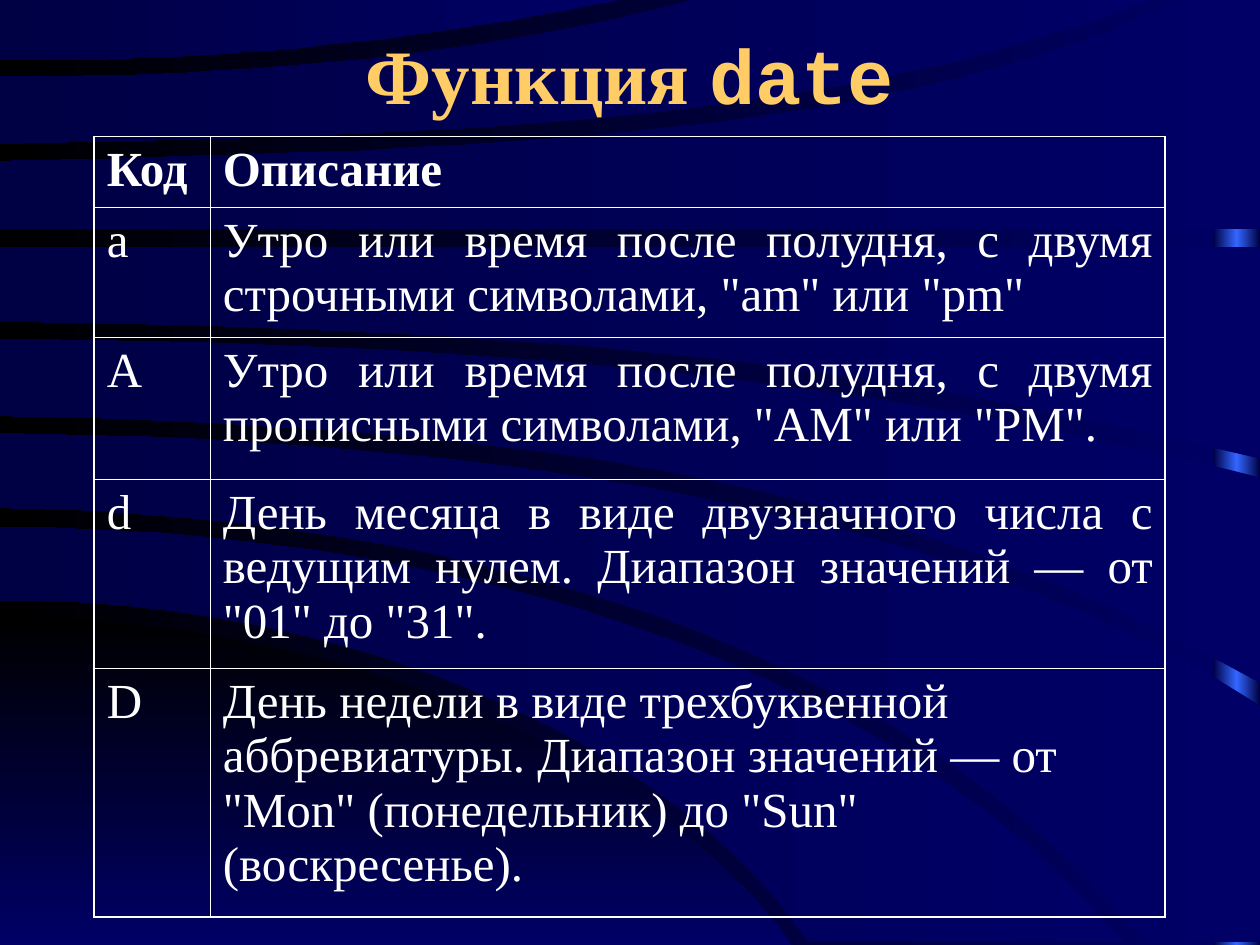
from copy import deepcopy
from math import prod

from pptx import Presentation
from pptx.dml.color import RGBColor
from pptx.enum.shapes import MSO_SHAPE
from pptx.enum.text import MSO_ANCHOR, MSO_AUTO_SIZE, PP_ALIGN
from pptx.oxml import parse_xml
from pptx.oxml.ns import nsdecls, qn
from pptx.util import Cm, Pt

RECTANGLE = MSO_SHAPE.RECTANGLE
MIDDLE, TOP = MSO_ANCHOR.MIDDLE, MSO_ANCHOR.TOP
NO_AUTOFIT = MSO_AUTO_SIZE.NONE
CENTER, JUSTIFY, LEFT = PP_ALIGN.CENTER, PP_ALIGN.JUSTIFY, PP_ALIGN.LEFT

COLORS = {
    "blue": "000066",
    "navy": "000044",
    "black": "000000",
    "glow": "3366FF",
    "title": "FFCC66",
    "text": "FFFFFF",
}
SERIF = "Times New Roman"
MONO = "Courier New"
CURVE_UNIT = Cm(0.0254)
CURVE_STEPS = 24
OUTER_LINE, INNER_LINE = Pt(1.08), Pt(0.45)

HILL = ([(0, 491), (276, 529), (495, 627), (628, 750)], [(0, 750)])
BANDS = [
    ([(0, 418), (335, 452), (644, 557), (893, 748)],
     [(0, 477), (268, 511), (492, 608), (642, 748)]),
    ([(0, 344), (343, 363), (693, 428), (1000, 560)],
     [(0, 403), (311, 433), (636, 537), (909, 748), (1000, 748)]),
    ([(0, 269), (399, 284), (714, 320), (1000, 379)],
     [(0, 330), (351, 349), (683, 410), (1000, 542)]),
    ([(0, 196), (1000, 196)],
     [(0, 255), (389, 269), (702, 303), (1000, 364)]),
    ([(0, 128), (372, 115), (684, 79), (943, -2), (1000, -2)],
     [(0, 182), (1000, 182)]),
    ([(0, 61), (197, 55), (383, 35), (556, -2)],
     [(0, 114), (341, 103), (648, 71), (917, -2)]),
    ([(0, -2), (501, -2)],
     [(0, 47), (173, 43), (346, 25), (501, -2)]),
]

COLUMN_WIDTHS = [2.34, 19.25]
ROW_HEIGHTS = [1.43, 2.62, 2.87, 3.81, 5.0]
ROWS = [
    ("Код", "Описание"),
    ("а", 'Утро или время после полудня, с двумя строчными символами, "am" или "pm"'),
    ("А", 'Утро или время после полудня, с двумя прописными символами, "AM" или "PM".'),
    ("d", "День месяца в виде двузначного числа с ведущим нулем. "
          'Диапазон значений — от "01" до "31".'),
    ("D", "День недели в виде трехбуквенной аббревиатуры. "
          'Диапазон значений — от "Mon" (понедельник) до "Sun" (воскресенье).'),
]


def smooth_edge(points):
    if len(points) < 4:
        return points
    knots = range(4)
    edge = []
    for step in range(CURVE_STEPS + 1):
        t = 3 * step / CURVE_STEPS
        weights = [prod((t - m) / (k - m) for m in knots if m != k) for k in knots]
        edge.append(tuple(round(sum(weight * value for weight, value in zip(weights, axis)))
                          for axis in zip(*points[:4])))
    return edge + points[4:]


def set_gradient(fill, colors, angle):
    fill.gradient_angle = angle
    for stop, color in zip(fill.gradient_stops, colors):
        stop.color.rgb = RGBColor.from_string(COLORS[color])


def style_decoration(shape, colors, angle):
    shape.shadow.inherit = False
    shape.line.fill.background()
    shape.fill.gradient()
    stop_list = shape.element.spPr.find(f".//{qn('a:gsLst')}")
    if len(colors) == 3:
        middle_stop = deepcopy(stop_list[0])
        middle_stop.set("pos", "50000")
        stop_list.insert(1, middle_stop)
    set_gradient(shape.fill, colors, angle)


def add_band(slide, edges, colors, angle):
    upper, lower = map(smooth_edge, edges)
    outline = upper + lower[::-1]
    builder = slide.shapes.build_freeform(*outline[0], scale=CURVE_UNIT)
    builder.add_line_segments(outline[1:], close=True)
    style_decoration(builder.convert_to_shape(), colors, angle)


def add_background(slide):
    fill = slide.background.fill
    fill.gradient()
    set_gradient(fill, ["blue", "black"], 180)
    strip = slide.shapes.add_shape(RECTANGLE, Cm(24.46), 0, Cm(0.94), Cm(19.05))
    style_decoration(strip, ["navy", "glow", "navy"], 180)
    add_band(slide, HILL, ["black", "blue"], 270)
    for edges in BANDS:
        add_band(slide, edges, ["blue", "navy"], 180)


def add_title(slide):
    title = slide.shapes.title
    slide.shapes.element.append(title.element)
    title.left, title.top, title.width, title.height = Cm(1.9), Cm(0.43), Cm(21.6), Cm(2.11)
    frame = title.text_frame
    frame.auto_size = NO_AUTOFIT
    frame.vertical_anchor = MIDDLE
    paragraph = frame.paragraphs[0]
    paragraph.alignment = CENTER
    for text, font_name in (("Функция ", SERIF), ("date", MONO)):
        run = paragraph.add_run()
        run.text = text
        format_font(run.font, font_name, 44, "title", True)


def format_font(font, name, size, color, bold):
    font.name = name
    font.size = Pt(size)
    font.bold = bold
    font.color.rgb = RGBColor.from_string(COLORS[color])


def set_borders(cell, widths):
    properties = cell._tc.get_or_add_tcPr()
    for position, (side, width) in enumerate(widths.items()):
        properties.insert(position, parse_xml(
            f'<a:ln{side} {nsdecls("a")} w="{width}"><a:solidFill>'
            f'<a:srgbClr val="{COLORS["text"]}"/></a:solidFill></a:ln{side}>'))


def fill_cell(cell, text, alignment, bold):
    cell.fill.background()
    cell.vertical_anchor = TOP
    cell.text_frame.text = text
    paragraph = cell.text_frame.paragraphs[0]
    paragraph.alignment = alignment
    format_font(paragraph.runs[0].font, SERIF, 28, "text", bold)


def add_code_table(slide):
    table = slide.shapes.add_table(
        len(ROWS), len(COLUMN_WIDTHS), Cm(1.9), Cm(2.75),
        Cm(sum(COLUMN_WIDTHS)), Cm(sum(ROW_HEIGHTS))).table
    table.first_row = table.horz_banding = False
    for column, width in zip(table.columns, COLUMN_WIDTHS):
        column.width = Cm(width)
    last_row, last_column = len(ROWS) - 1, len(COLUMN_WIDTHS) - 1
    for i, texts in enumerate(ROWS):
        table.rows[i].height = Cm(ROW_HEIGHTS[i])
        for j, text in enumerate(texts):
            cell = table.cell(i, j)
            alignment = LEFT if (i, j) == (last_row, last_column) else JUSTIFY
            fill_cell(cell, text, alignment, i == 0)
            outer_sides = {"L": j == 0, "R": j == last_column, "T": i == 0, "B": i == last_row}
            set_borders(cell, {side: OUTER_LINE if outer else INNER_LINE
                               for side, outer in outer_sides.items()})


def main():
    presentation = Presentation()
    presentation.slide_width, presentation.slide_height = Cm(25.4), Cm(19.05)
    slide = presentation.slides.add_slide(presentation.slide_layouts[5])
    add_background(slide)
    add_title(slide)
    add_code_table(slide)
    presentation.save("out.pptx")


if __name__ == "__main__":
    main()
